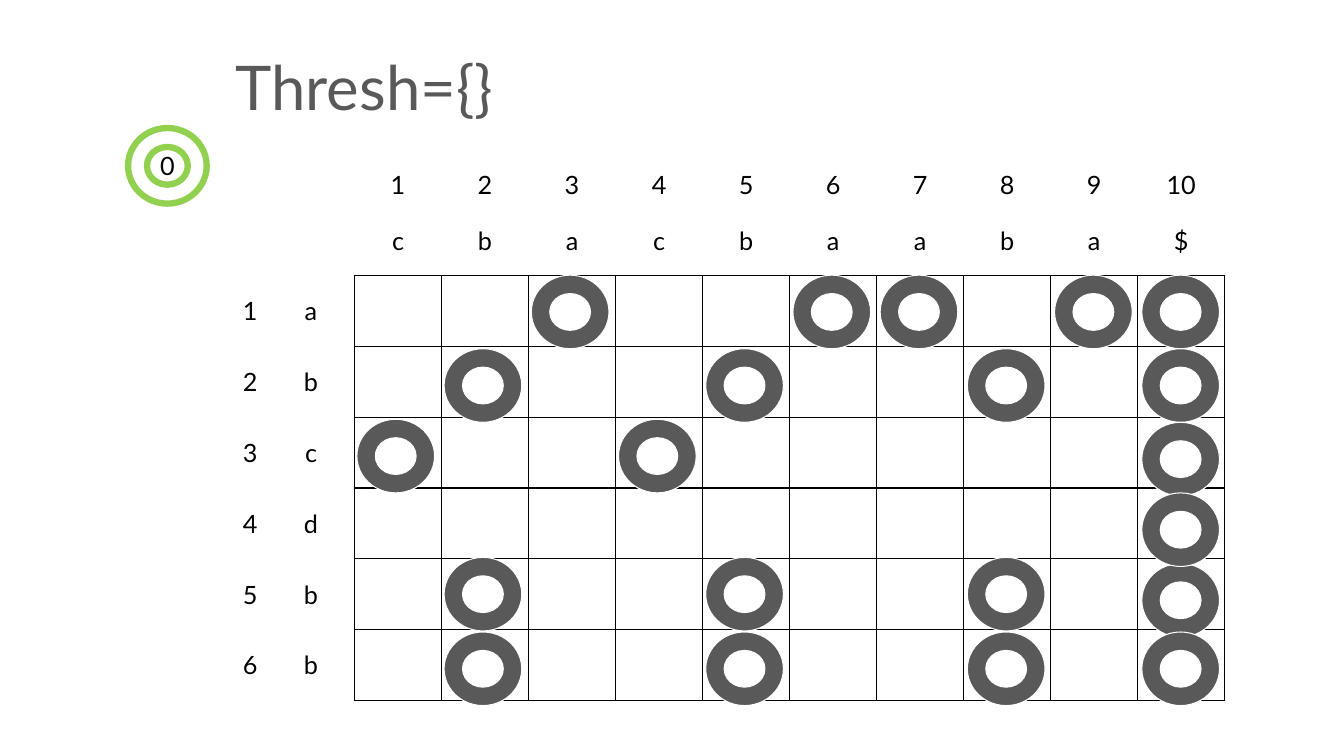
from lxml import etree
from pptx import Presentation
from pptx.dml.color import RGBColor
from pptx.enum.shapes import MSO_SHAPE
from pptx.enum.text import MSO_ANCHOR, PP_ALIGN
from pptx.oxml.ns import qn
from pptx.util import Inches, Pt

ACROSS = "cbacbaaba$"
DOWN = "abcdbb"
BLACK, WHITE, GRAY, GREEN = "000000", "FFFFFF", "595959", "92D050"
TOPS = [2.73, 3.46, 4.16, 4.89, 5.53, 6.27]
END_TOPS = [2.73, 3.46, 4.19, 4.89, 5.59, 6.27]
STACK = [0, 1, 2, 4, 3, 5]  # row 4 of the last column overlaps row 5


def color(code):
    return RGBColor.from_string(code)


def style(par, size, code, align=PP_ALIGN.LEFT):
    par.alignment = align
    for run in par.runs:
        run.font.name = "Lato"
        run.font.size = Pt(size)
        run.font.color.rgb = color(code)


def border(cell, side, code):
    line = etree.SubElement(cell._tc.get_or_add_tcPr(), qn("a:ln" + side), w=str(Pt(1)))
    fill = etree.SubElement(line, qn("a:solidFill"))
    etree.SubElement(fill, qn("a:srgbClr"), val=code)


def label(row, col):
    """Return the text, alignment and anchor of a grid cell."""
    if row < 2 <= col:
        text = ACROSS[col - 2] if row else str(col - 1)
        return text, PP_ALIGN.CENTER, MSO_ANCHOR.MIDDLE if row else MSO_ANCHOR.BOTTOM
    if col < 2 <= row:
        text = DOWN[row - 2] if col else str(row - 1)
        return text, PP_ALIGN.CENTER if col else PP_ALIGN.RIGHT, MSO_ANCHOR.MIDDLE
    return "", PP_ALIGN.LEFT, MSO_ANCHOR.MIDDLE


def add_grid(slide, left, top, width, height):
    rows, cols = len(DOWN) + 2, len(ACROSS) + 2
    box = [Inches(n) for n in (left, top, width, height)]
    table = slide.shapes.add_table(rows, cols, *box).table
    table.first_row = table.horz_banding = False
    for col in table.columns:
        col.width = Inches(width / cols)
    for row in table.rows:
        row.height = Inches(height / rows)
    for r in range(rows):
        for c in range(cols):
            cell = table.cell(r, c)
            inner = r > 1 and c > 1
            edges = {
                "L": inner,
                "R": inner or (r > 1 and c == 1),
                "T": inner,
                "B": inner or (r == 1 and c > 1),
            }
            for side, dark in edges.items():
                border(cell, side, BLACK if dark else WHITE)
            cell.fill.background()
            cell.text, align, cell.vertical_anchor = label(r, c)
            style(cell.text_frame.paragraphs[0], 18, BLACK, align)


def add_ring(shapes, left, top, width, height, line, weight, fill=None):
    box = [Inches(n) for n in (left, top, width, height)]
    ring = shapes.add_shape(MSO_SHAPE.DONUT, *box)
    ring.shadow.inherit = False
    if fill:
        ring.fill.solid()
        ring.fill.fore_color.rgb = color(fill)
    else:
        ring.fill.background()
    ring.line.color.rgb = color(line)
    ring.line.width = Pt(weight)


def add_marks(slide, left, step):
    """Ring every cell whose row letter equals its column letter, and all of $."""
    group = slide.shapes.add_group_shape()
    for row in STACK:
        for col, sign in enumerate(ACROSS):
            if sign in (DOWN[row], "$"):
                top = (END_TOPS if sign == "$" else TOPS)[row]
                add_ring(group.shapes, left + col * step, top, 0.77, 0.73, WHITE, 0.75, GRAY)


def add_title(slide, left, top, width, height):
    title = slide.shapes.title
    title.left, title.top = Inches(left), Inches(top)
    title.width, title.height = Inches(width), Inches(height)
    frame = title.text_frame
    frame.text = "Thresh={}"
    frame.word_wrap = False
    frame.vertical_anchor = MSO_ANCHOR.MIDDLE
    style(frame.paragraphs[0], 44, GRAY, PP_ALIGN.CENTER)


def add_badge(slide, left, top, width, height):
    add_ring(slide.shapes, left, top, width, height, GREEN, 4.5)
    box = [Inches(n) for n in (left + 0.22, top + 0.17, 0.74, 0.4)]
    frame = slide.shapes.add_textbox(*box).text_frame
    frame.word_wrap = True
    frame.text = "0"
    style(frame.paragraphs[0], 18, BLACK)


def main():
    deck = Presentation()
    deck.slide_width, deck.slide_height = Inches(13.33), Inches(7.5)
    slide = deck.slides.add_slide(deck.slide_layouts[5])
    add_grid(slide, 1.79, 1.33, 10.36, 5.62)
    add_marks(slide, 3.54, 0.865)
    add_title(slide, 2.06, 0.43, 3.11, 0.84)
    add_badge(slide, 1.27, 1.27, 0.78, 0.75)
    deck.save("out.pptx")


if __name__ == "__main__":
    main()
